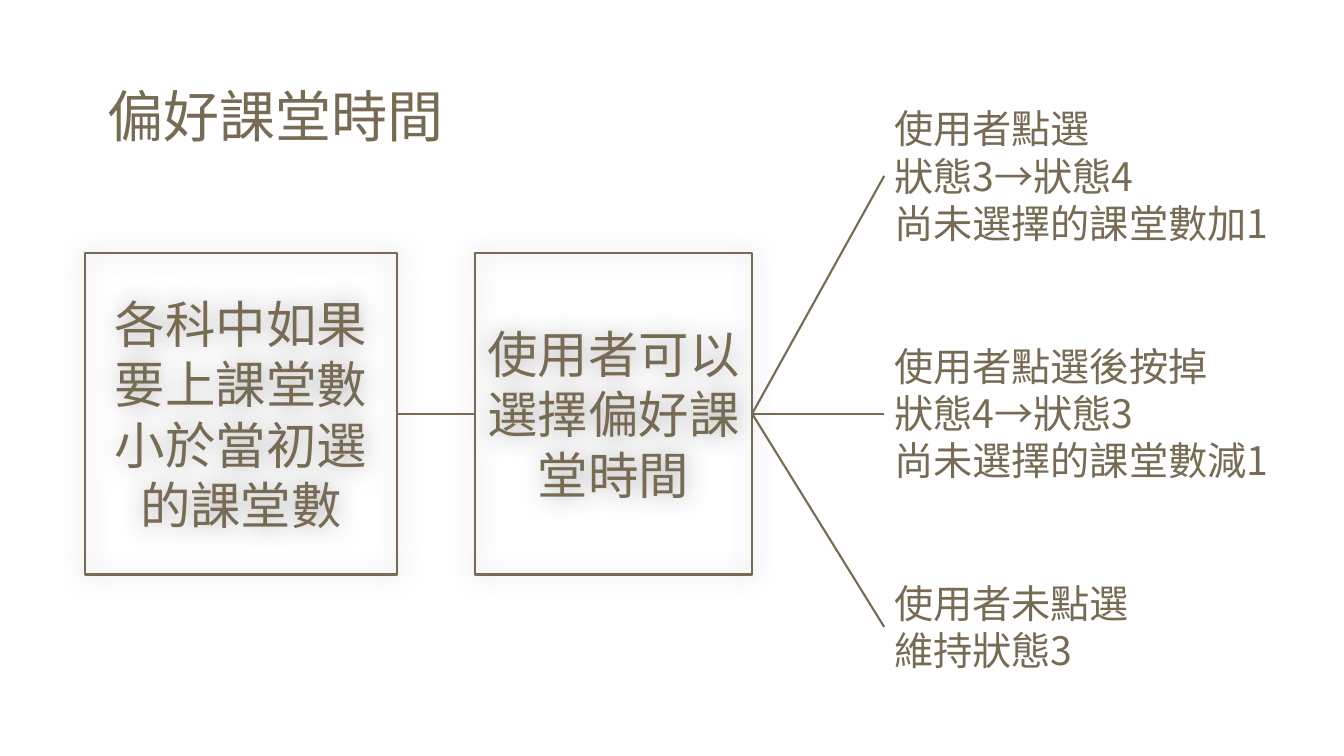
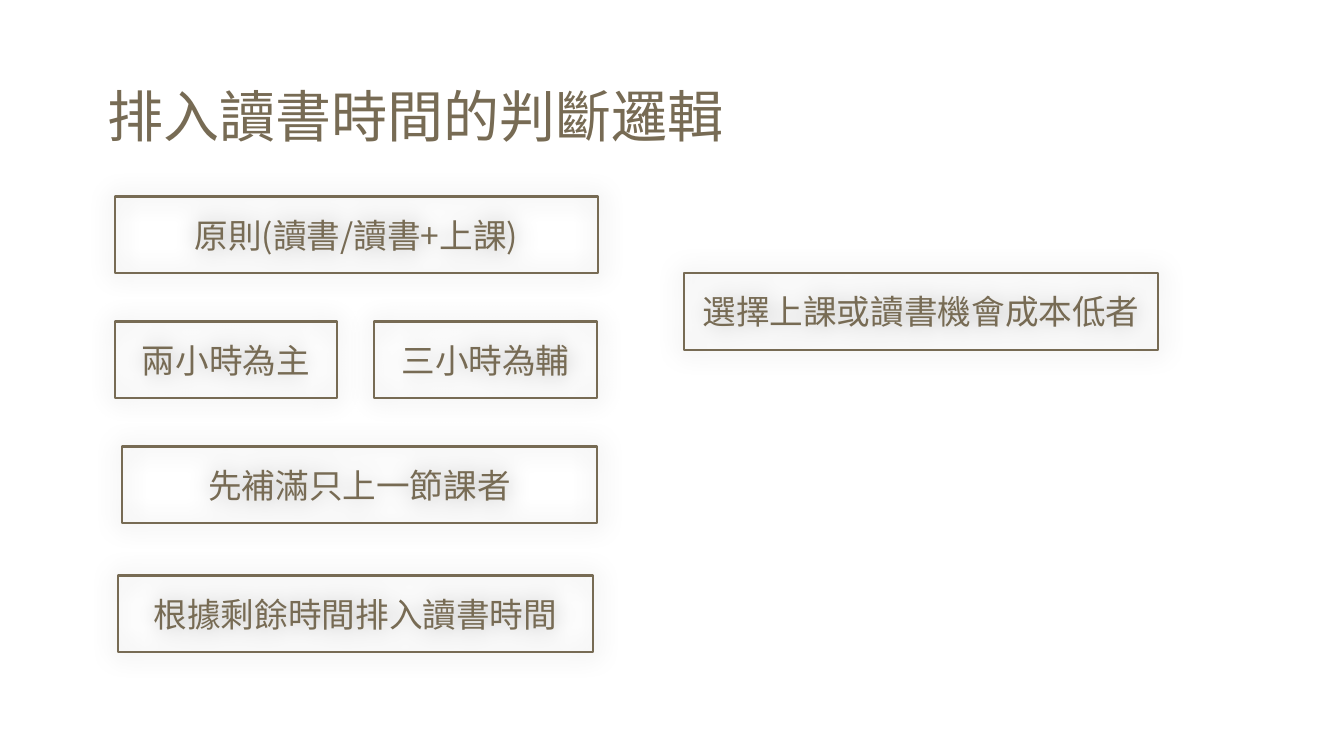
import dataclasses

import pptx
import pptx.dml.color
import pptx.enum.shapes
import pptx.enum.text
import pptx.oxml
import pptx.oxml.ns
import pptx.presentation
import pptx.shapes.autoshape
import pptx.shapes.base
import pptx.slide
import pptx.util

EMU_PER_PX = 9144  # 100 px to the inch
LEFT_SIDE, RIGHT_SIDE = 1, 3
ALIGN = pptx.enum.text.PP_ALIGN
ANCHOR = pptx.enum.text.MSO_ANCHOR
AUTO_SIZE = pptx.enum.text.MSO_AUTO_SIZE


@dataclasses.dataclass(frozen=True)
class Theme:
    ink: str = "776B54"
    halo: str = "000000"
    halo_alpha: int = 33000
    halo_blur: int = 25
    font: str = "Noto Sans CJK SC"
    title_size: int = 40
    condition_size: int = 36
    outcome_size: int = 28
    rule_size: int = 24
    line_width: float = 1.5


@dataclasses.dataclass(frozen=True)
class Block:
    left: int
    top: int
    width: int
    height: int
    lines: tuple[str, ...]
    size: int


THEME = Theme()
INK = pptx.dml.color.RGBColor.from_string(THEME.ink)
LABEL_FORMAT = {
    "word_wrap": True,
    "vertical_anchor": ANCHOR.TOP,
    "auto_size": AUTO_SIZE.SHAPE_TO_FIT_TEXT,
}
BOX_FORMAT = {
    "word_wrap": True,
    "vertical_anchor": ANCHOR.MIDDLE,
    "auto_size": AUTO_SIZE.NONE,
}

# Slide 1: preferred class times
CONDITIONS = (
    Block(84, 251, 310, 319, ("各科中如果要上課堂數小於當初選的課堂數",), THEME.condition_size),
    Block(471, 251, 275, 319, ("使用者可以選擇偏好課堂時間",), THEME.condition_size),
)
OUTCOME_LEFT = 877
OUTCOMES = (
    Block(OUTCOME_LEFT, 99, 421, 151,
          ("使用者點選", "狀態3→狀態4", "尚未選擇的課堂數加1"), THEME.outcome_size),
    Block(OUTCOME_LEFT, 335, 421, 151,
          ("使用者點選後按掉", "狀態4→狀態3", "尚未選擇的課堂數減1"), THEME.outcome_size),
    Block(OUTCOME_LEFT, 570, 360, 104,
          ("使用者未點選", "維持狀態3"), THEME.outcome_size),
)

# Slide 2: rules for placing study time
RULE_HEIGHT = 76
RULE_TOP, RULE_STEP = 195, 124
RULES = tuple(
    Block(left, top, width, RULE_HEIGHT, (wording,), THEME.rule_size)
    for left, top, width, wording in (
        (117, 571, 471, "根據剩餘時間排入讀書時間"),
        (678, 271, 471, "選擇上課或讀書機會成本低者"),
        (371, RULE_TOP + RULE_STEP, 221, "三小時為輔"),
        (114, RULE_TOP + RULE_STEP, 220, "兩小時為主"),
        (114, RULE_TOP, 479, "原則(讀書/讀書+上課)"),
        (121, RULE_TOP + 2 * RULE_STEP, 471, "先補滿只上一節課者"),
    )
)


def px(length: int) -> pptx.util.Emu:
    return pptx.util.Emu(length * EMU_PER_PX)


def bounds(block: Block) -> tuple[pptx.util.Emu, ...]:
    return tuple(px(v) for v in (block.left, block.top, block.width, block.height))


def write_lines(shape: pptx.shapes.autoshape.Shape, block: Block,
                frame_format: dict, align: ALIGN) -> None:
    frame = shape.text_frame
    for name, value in frame_format.items():
        setattr(frame, name, value)
    for index, line in enumerate(block.lines):
        paragraph = frame.add_paragraph() if index else frame.paragraphs[0]
        paragraph.alignment = align
        run = paragraph.add_run()
        run.text = line
        for name, value in {"size": pptx.util.Pt(block.size), "name": THEME.font}.items():
            setattr(run.font, name, value)
        run.font.color.rgb = INK
        # East Asian typeface follows the Latin one
        east_asian = pptx.oxml.parse_xml(
            f'<a:ea {pptx.oxml.ns.nsdecls("a")} typeface="{THEME.font}"/>')
        run.font._element.find(pptx.oxml.ns.qn("a:latin")).addnext(east_asian)


def add_label(slide: pptx.slide.Slide, block: Block) -> pptx.shapes.autoshape.Shape:
    label = slide.shapes.add_textbox(*bounds(block))
    write_lines(label, block, LABEL_FORMAT, ALIGN.LEFT)
    return label


def add_box(slide: pptx.slide.Slide, block: Block) -> pptx.shapes.autoshape.Shape:
    """Outlined box with a soft grey halo."""
    box = slide.shapes.add_shape(
        pptx.enum.shapes.MSO_SHAPE.RECTANGLE, *bounds(block))
    box.fill.background()
    box.line.color.rgb = INK
    box.line.width = pptx.util.Pt(THEME.line_width)
    box.shadow.inherit = False
    effects = box._element.spPr.find(pptx.oxml.ns.qn("a:effectLst"))
    effects.append(pptx.oxml.parse_xml(
        f'<a:outerShdw {pptx.oxml.ns.nsdecls("a")} blurRad="{px(THEME.halo_blur)}"'
        ' dist="0" dir="0" algn="ctr" rotWithShape="0">'
        f'<a:srgbClr val="{THEME.halo}"><a:alpha val="{THEME.halo_alpha}"/></a:srgbClr>'
        '</a:outerShdw>'))
    write_lines(box, block, BOX_FORMAT, ALIGN.CENTER)
    return box


def join(slide: pptx.slide.Slide, source: pptx.shapes.base.BaseShape,
         target: pptx.shapes.base.BaseShape) -> None:
    """Straight line from the right side of one block to the left of another."""
    link = slide.shapes.add_connector(
        pptx.enum.shapes.MSO_CONNECTOR.STRAIGHT, 0, 0, 0, 0)
    link.begin_connect(source, RIGHT_SIDE)
    link.end_connect(target, LEFT_SIDE)
    link.line.color.rgb = INK
    link.line.width = pptx.util.Pt(THEME.line_width)
    link._element.spPr.append(
        pptx.oxml.parse_xml(f'<a:effectLst {pptx.oxml.ns.nsdecls("a")}/>'))


def add_titled_slide(deck: pptx.presentation.Presentation, title: str,
                     title_width: int) -> pptx.slide.Slide:
    slide = deck.slides.add_slide(deck.slide_layouts[6])
    add_label(slide, Block(97, 76, title_width, 77, (title,), THEME.title_size))
    return slide


def main() -> None:
    deck = pptx.Presentation()
    for name, value in {"slide_width": px(1333), "slide_height": px(750)}.items():
        setattr(deck, name, value)

    # Conditions lead to a fan of outcomes
    preference = add_titled_slide(deck, "偏好課堂時間", 361)
    shortage, choice = [add_box(preference, block) for block in CONDITIONS]
    join(preference, shortage, choice)
    for block in OUTCOMES:
        join(preference, choice, add_label(preference, block))

    # Scheduling rules
    scheduling = add_titled_slide(deck, "排入讀書時間的判斷邏輯", 639)
    for block in RULES:
        add_box(scheduling, block)

    deck.save("out.pptx")


if __name__ == "__main__":
    main()
